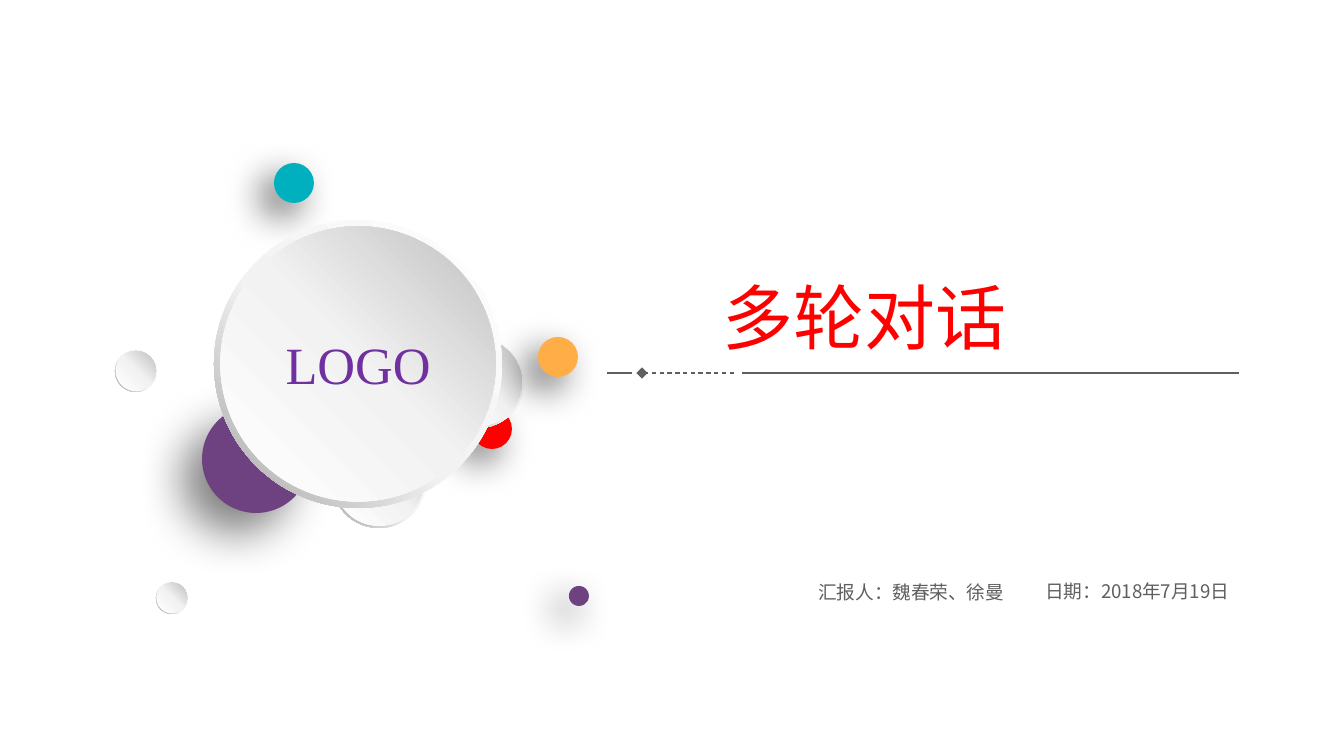
from pptx import Presentation
from pptx.dml.color import RGBColor as Rgb
from pptx.enum.dml import MSO_LINE as Dash
from pptx.enum.shapes import MSO_CONNECTOR as Conn, MSO_SHAPE as Form
from pptx.enum.text import MSO_ANCHOR as Anchor, MSO_AUTO_SIZE as Auto, PP_ALIGN as Align
from pptx.oxml import parse_xml
from pptx.oxml.ns import nsdecls
from pptx.util import Emu, Pt

WIDE, HIGH = 1344, 756
SCALE = 9144000 / WIDE
SANS, SERIF = "Noto Sans CJK SC", "Times New Roman"
HEX = {"white": "FFFFFF", "pale": "F2F2F2", "silver": "BFBFBF", "gray": "A6A6A6",
       "ink": "5F5F5F", "black": "000000", "red": "FF0000", "plum": "6E4180",
       "violet": "7030A0", "amber": "FFAE47", "teal": "00B0BE"}


def px(n):
    return Emu(round(n * SCALE))


def color(name):
    return Rgb.from_string(HEX[name])


def node(tag, inner="", attrs=""):
    return parse_xml(f'<a:{tag} {nsdecls("a")} {attrs}>{inner}</a:{tag}>')


def write(frame, text, size, ink, font=SANS):
    frame.text = text
    run = frame.paragraphs[0].runs[0]
    run.font.size, run.font.name, run.font.bold = Pt(size), font, False
    run.font.color.rgb = color(ink)
    run.font._element.append(node("ea", attrs=f'typeface="{font}"'))


def round_shape(slide, form, x, y, d):
    shape = slide.shapes.add_shape(form, px(x), px(y), px(d), px(d))
    shape.shadow.inherit = False
    shape.line.fill.background()
    return shape


# Flat dot with a soft shadow to the lower left
def add_dot(slide, x, y, d, ink, alpha=60, blur=20, dist=10):
    dot = round_shape(slide, Form.OVAL, x, y, d)
    dot.fill.solid()
    dot.fill.fore_color.rgb = color(ink)
    dot.shadow.inherit = True
    dot._element.spPr.append(node("effectLst", (
        f'<a:outerShdw blurRad="{Pt(blur)}" dist="{Pt(dist)}" dir="8100000" '
        f'algn="ctr" rotWithShape="0"><a:srgbClr val="{HEX["black"]}">'
        f'<a:alpha val="{alpha * 1000}"/></a:srgbClr></a:outerShdw>')))


def shade(shape, mid, dark, angle):
    stops = "".join(f'<a:gs pos="{pos * 1000}"><a:srgbClr val="{HEX[ink]}"/></a:gs>'
                    for pos, ink in ((0, "white"), (mid, "pale"), (100, dark)))
    grad = node("gradFill", f'<a:gsLst>{stops}</a:gsLst>'
                f'<a:lin ang="{angle * 60000}" scaled="0"/>', 'rotWithShape="1"')
    shape._element.spPr.prstGeom.addnext(grad)


# Raised button: a shaded rim with a face centred in it
def add_button(slide, x, y, d):
    rim = round_shape(slide, Form.DONUT, x, y, d)
    rim.adjustments[0] = 0.049
    shade(rim, 55, "gray", 135)
    inset = d * 0.022
    face = round_shape(slide, Form.OVAL, x + inset, y + inset, d - 2 * inset)
    shade(face, 51, "silver", 315)
    return face


def add_cluster(slide, x, y):
    add_dot(slide, x + 87, y + 242, 108, "plum", 50, 25, 15)
    add_dot(slide, x + 357, y + 246, 40, "red")
    for left, top, d in ((318, 174, 91), (41, 419, 32), (0, 187, 42), (217, 271, 94)):
        add_button(slide, x + left, y + top, d)
    for left, top, d, ink in ((423, 174, 40, "amber"), (454, 423, 20, "plum"),
                              (159, 0, 40, "teal")):
        add_dot(slide, x + left, y + top, d, ink)
    face = add_button(slide, x + 99, y + 57, 288)
    write(face.text_frame, "LOGO", 28, "violet", SERIF)
    face.text_frame.paragraphs[0].alignment = Align.CENTER
    face.text_frame.vertical_anchor = Anchor.MIDDLE


# Rule in three pieces, the middle one dashed with a diamond end
def add_rule(slide, x, y):
    for start, end, dashed in ((632, 135, False), (127, 35, True), (25, 0, False)):
        line = slide.shapes.add_connector(Conn.STRAIGHT, px(x + start), px(y),
                                          px(x + end), px(y))
        line.line.color.rgb = color("ink")
        line.line.width = Pt(0.6)
        if dashed:
            line.line.dash_style = Dash.DASH
            line.line._ln.append(node("tailEnd", attrs='type="diamond"'))
        line._element.spPr.append(node("effectLst"))


def set_frame(frame, spacing):
    frame.word_wrap, frame.auto_size = True, Auto.NONE
    frame.vertical_anchor = Anchor.TOP
    frame.paragraphs[0].alignment = Align.LEFT
    frame.paragraphs[0].line_spacing = spacing


def add_title(slide, x, y, w, h):
    title = slide.shapes.title
    title.left, title.top, title.width, title.height = map(px, (x, y, w, h))
    write(title.text_frame, "多轮对话", 38, "red")
    set_frame(title.text_frame, 0.9)
    title.text_frame.margin_left = px(125)


def add_note(slide, x, y, w, h, text):
    box = slide.shapes.add_textbox(*map(px, (x, y, w, h)))
    write(box.text_frame, text, 10, "ink")
    set_frame(box.text_frame, 0.82)


def main():
    deck = Presentation()
    deck.slide_width, deck.slide_height = px(WIDE), px(HIGH)
    slide = deck.slides.add_slide(deck.slide_layouts[5])
    add_cluster(slide, 115, 163)
    add_rule(slide, 607, 373)
    add_title(slide, 598, 277, 589, 99)
    add_note(slide, 805, 578, 214, 36, "汇报人：魏春荣、徐曼")
    add_note(slide, 1032, 577, 215, 36, "日期：2018年7月19日")
    deck.save("out.pptx")


if __name__ == "__main__":
    main()
